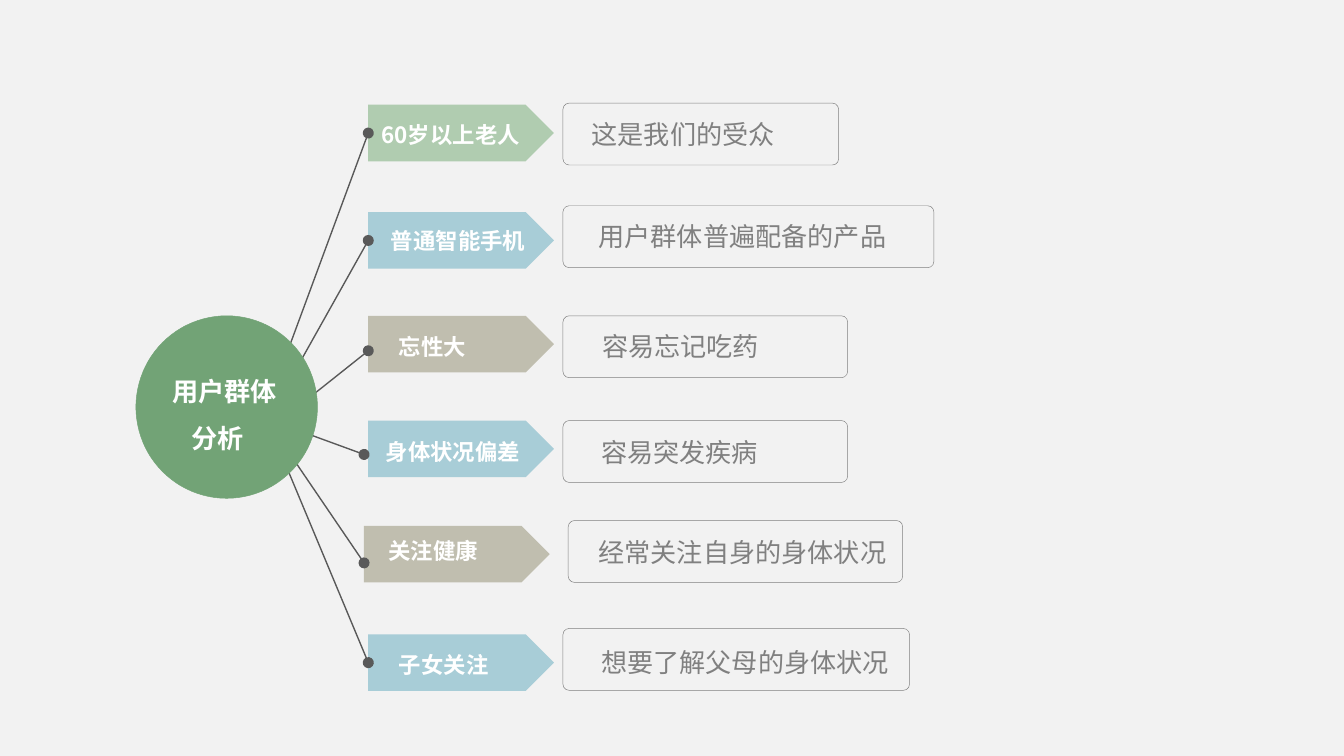
from typing import NamedTuple

from lxml.etree import SubElement
from pptx import Presentation
from pptx.dml.color import RGBColor
from pptx.enum.shapes import MSO_CONNECTOR, MSO_SHAPE as Preset
from pptx.enum.text import MSO_ANCHOR as Anchor, MSO_AUTO_SIZE as AutoSize
from pptx.oxml.ns import qn
from pptx.util import Cm, Pt

CJK_FONT = "Noto Sans CJK SC"
PAPER, HUB_GREEN, WHITE = "F2F2F2", "72A376", "FFFFFF"
GREEN, BLUE, SAND = "B0CCB0", "A8CDD7", "C0BEAF"
SPOKE_GREY, FRAME_GREY, TEXT_GREY = "595959", "7F7F7F", "808080"
TAG_WIDTH, TAG_HEIGHT, LABEL_HEIGHT, CARD_HEIGHT = 3.51, 1.07, 0.76, 1.17
JOIN_DISTANCE = 0.1  # a spoke this close to the tag's side is joined to it

Point = tuple[float, float]
Box = tuple[float, float, float, float]  # left, top, width, height in cm


class Trait(NamedTuple):
    label: str
    detail: str
    color: str
    tag: Point
    label_box: Box
    card: Box
    detail_box: Box
    spoke_start: Point
    spoke_end: Point


def trait(label: str, detail: str, color: str, tag: Point, label_at: Box,
          card_at: Box, detail_box: Box, start: Point, end: Point) -> Trait:
    """Complete the label and card boxes with their common heights."""
    return Trait(label, detail, color, tag, (*label_at, LABEL_HEIGHT),
                 (*card_at, CARD_HEIGHT), detail_box, start, end)


TRAITS = [
    trait("60岁以上老人", "这是我们的受众", GREEN, (6.96, 1.98), (6.96, 2.16, 3.51),
          (10.64, 1.95, 5.21), (11, 2.08, 4.29, 0.91), (4.98, 7.87), (6.88, 2.59)),
    trait("普通智能手机", "用户群体普遍配备的产品", BLUE, (6.96, 4.01), (7.14, 4.17, 3.3),
          (10.64, 3.89, 7.01), (11.13, 4.01, 5.99, 0.91), (5.05, 7.95), (6.96, 4.52)),
    trait("忘性大", "容易忘记吃药", SAND, (6.96, 5.97), (7.29, 6.17, 2.72),
          (10.64, 5.97, 5.38), (11.2, 6.07, 4.27, 0.94), (5.05, 8.15), (6.96, 6.63)),
    trait("身体状况偏差", "容易突发疾病", BLUE, (6.96, 7.95), (7.04, 8.15, 3.3),
          (10.64, 7.95, 5.38), (11.18, 8.05, 4.11, 0.99), (5.13, 7.95), (6.88, 8.59)),
    trait("关注健康", "经常关注自身的身体状况", SAND, (6.88, 9.94), (7.09, 10.03, 2.92),
          (10.74, 9.84, 6.32), (11.13, 9.88, 5.97, 1.12), (5.05, 7.95), (6.88, 10.64)),
    trait("子女关注", "想要了解父母的身体状况", BLUE, (6.96, 11.99), (7.29, 12.19, 2.84),
          (10.64, 11.88, 6.55), (11.18, 12.09, 5.89, 0.84), (5.05, 7.95), (6.88, 12.5)),
]


def rgb(color: str) -> RGBColor:
    return RGBColor.from_string(color)


def draw_shape(slide, preset: Preset, box: Box, fill: str, line: str = "",
               adjust: float | None = None):
    shape = slide.shapes.add_shape(preset, *map(Cm, box))
    shape.shadow.inherit = False
    shape.fill.solid()
    shape.fill.fore_color.rgb = rgb(fill)
    if line:
        shape.line.color.rgb = rgb(line)
        shape.line.width = Pt(0.25)
    else:
        shape.line.fill.background()
    if adjust is not None:
        shape.adjustments[0] = adjust
    return shape


def write(shape, *lines: str, size: float, color: str, font: str = CJK_FONT,
          bold: bool = False, spacing: float | None = None, tight: bool = False,
          grow: bool = False, indents: tuple[float, ...] = ()) -> None:
    """Write one left-aligned paragraph per line; indents are in cm."""
    frame = shape.text_frame
    frame.word_wrap = True
    if grow:
        frame.auto_size = AutoSize.SHAPE_TO_FIT_TEXT
    if tight:
        frame.vertical_anchor = Anchor.MIDDLE
        frame.margin_left = frame.margin_right = Cm(0.18)
        frame.margin_top = frame.margin_bottom = Cm(0.08)
    for index, line in enumerate(lines):
        paragraph = frame.paragraphs[0] if index == 0 else frame.add_paragraph()
        properties = paragraph._p.get_or_add_pPr()
        properties.set("algn", "l")
        if index < len(indents):
            properties.set("marL", str(Cm(indents[index])))
        if spacing:
            paragraph.line_spacing = spacing
        run = paragraph.add_run()
        run.text = line
        run.font.size, run.font.bold, run.font.name = Pt(size), bold, font
        run.font.color.rgb = rgb(color)
        SubElement(run._r.get_or_add_rPr(), qn("a:ea"), typeface=CJK_FONT)


def add_text(slide, box: Box, text: str, **style) -> None:
    write(slide.shapes.add_textbox(*map(Cm, box)), text, **style)


def draw_spoke(slide, start: Point, end: Point, tag, tag_at: Point) -> None:
    spoke = slide.shapes.add_connector(MSO_CONNECTOR.STRAIGHT, *map(Cm, start + end))
    spoke.line.color.rgb = rgb(SPOKE_GREY)
    spoke.line.width = Pt(0.75)
    line = spoke.line._get_or_add_ln()
    for part in ("a:headEnd", "a:tailEnd"):
        SubElement(line, qn(part), type="oval")
    SubElement(spoke._element.spPr, qn("a:effectLst"))
    side_middle = (tag_at[0], tag_at[1] + TAG_HEIGHT / 2)
    if all(abs(a - b) < JOIN_DISTANCE for a, b in zip(end, side_middle)):
        spoke.end_connect(tag, 1)


def main() -> None:
    deck = Presentation()
    deck.slide_width, deck.slide_height = Cm(25.4), Cm(14.29)
    slide = deck.slides.add_slide(deck.slide_layouts[6])
    slide.background.fill.solid()
    slide.background.fill.fore_color.rgb = rgb(PAPER)

    # Tags, then the spokes that reach them
    tags = [draw_shape(slide, Preset.PENTAGON, (*item.tag, TAG_WIDTH, TAG_HEIGHT),
                       item.color, adjust=0.5) for item in TRAITS]
    for item, tag in zip(TRAITS, tags):
        draw_spoke(slide, item.spoke_start, item.spoke_end, tag, item.tag)

    # Hub, covering the inner ends of the spokes
    hub = draw_shape(slide, Preset.OVAL, (2.57, 5.97, 3.43, 3.45), HUB_GREEN, HUB_GREEN)
    write(hub, "用户群体", "分析", size=14, color=WHITE, bold=True, spacing=1.5,
          tight=True, indents=(0, 0.36))

    # Tag labels and detail cards
    for item in TRAITS:
        add_text(slide, item.label_box, item.label, size=12, color=WHITE,
                 bold=True, grow=True)
        draw_shape(slide, Preset.ROUNDED_RECTANGLE, item.card, PAPER, FRAME_GREY, 0.1)
        add_text(slide, item.detail_box, item.detail, size=14, color=TEXT_GREY,
                 font="Calibri", tight=True)

    deck.save("out.pptx")


if __name__ == "__main__":
    main()
